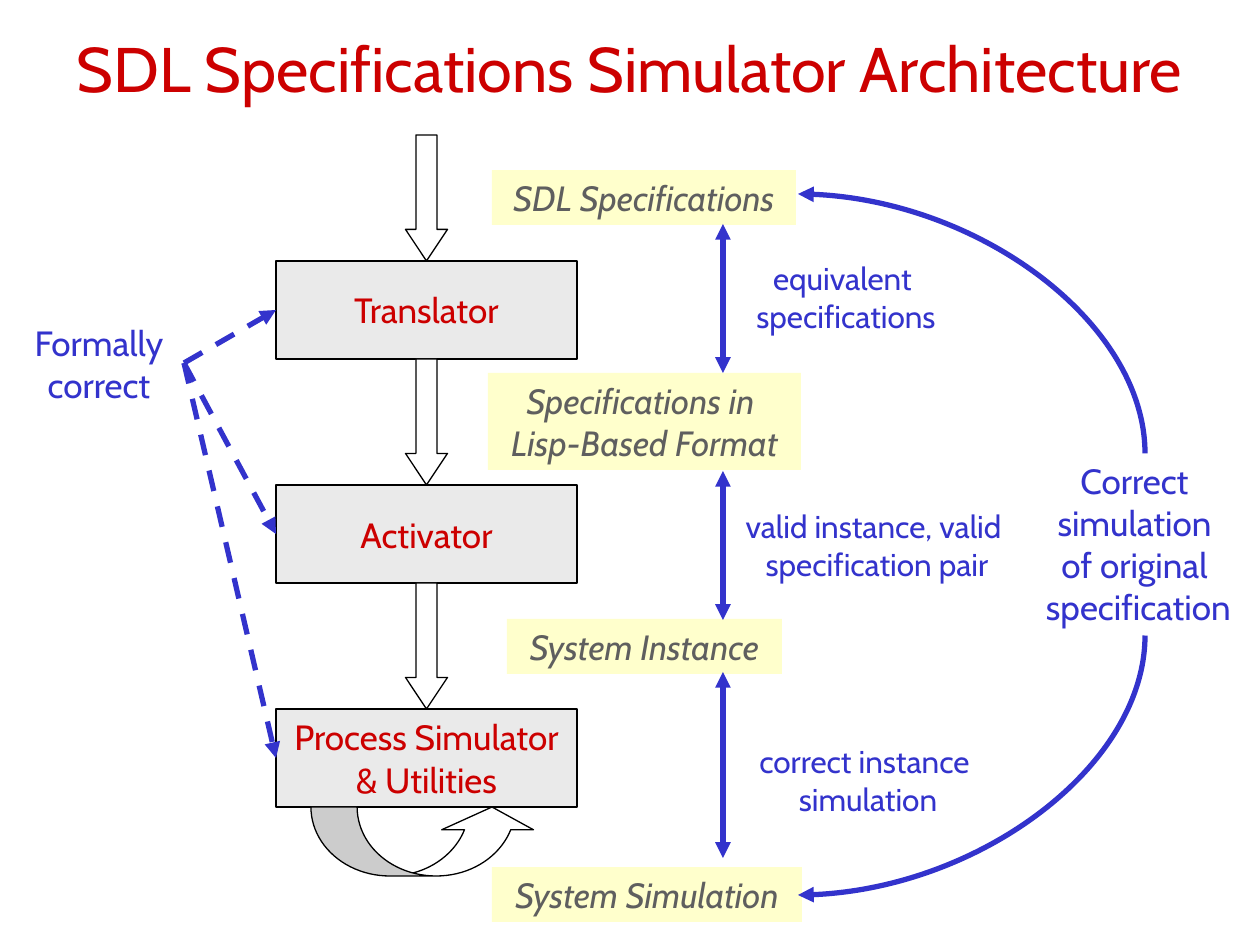
import pptx
import pptx.util
import pptx.dml.color
import pptx.enum.dml
import pptx.enum.shapes
import pptx.enum.text
import pptx.oxml.ns
from lxml import etree

SHAPES = pptx.enum.shapes.MSO_SHAPE
CONNECTORS = pptx.enum.shapes.MSO_CONNECTOR
ANCHORS = pptx.enum.text.MSO_ANCHOR
RED, BLUE, GREY = "CC0000", "3333CC", "5F5F5F"
TOP, LEFT, BOTTOM, RIGHT = range(4)


def px(length):
    """Turn pixels into EMU at 126 pixels to the inch."""
    return pptx.util.Emu(round(length * 914400 / 126))


def paint(colour):
    """Turn a hex string into a colour."""
    return pptx.dml.color.RGBColor.from_string(colour)


def write(shape, text, size=20, colour=BLUE, italic=False, anchor=ANCHORS.TOP, wrap=False):
    """Write centred text into a shape, one paragraph per line."""
    frame = shape.text_frame
    frame.word_wrap = wrap
    frame.vertical_anchor = anchor
    frame.text = text
    for paragraph in frame.paragraphs:
        paragraph.alignment = pptx.enum.text.PP_ALIGN.CENTER
        font = paragraph.runs[0].font
        font.name = "Cabin"
        font.size = pptx.util.Pt(size)
        font.italic = italic
        font.color.rgb = paint(colour)


def add_text(slide, box, text, **style):
    """Add a text box holding formatted text."""
    write(slide.shapes.add_textbox(*map(px, box)), text, **style)


def add_shape(slide, preset, box, fill=None, line=None):
    """Add a flat preset shape with an optional fill and outline."""
    shape = slide.shapes.add_shape(preset, *map(px, box))
    shape.shadow.inherit = False
    if fill:
        shape.fill.solid()
        shape.fill.fore_color.rgb = paint(fill)
    else:
        shape.fill.background()
    if line:
        shape.line.color.rgb = paint(line)
        shape.line.width = pptx.util.Pt(0.75)
    else:
        shape.line.fill.background()
    return shape


def add_arrow(slide, start, end, kind=CONNECTORS.STRAIGHT, ends=("tailEnd",), dashed=False):
    """Add a blue connector with triangular arrowheads."""
    arrow = slide.shapes.add_connector(kind, *map(px, (*start, *end)))
    arrow.line.color.rgb = paint(BLUE)
    arrow.line.width = pptx.util.Pt(3)
    if dashed:
        arrow.line.dash_style = pptx.enum.dml.MSO_LINE.DASH
    outline = arrow.line._get_or_add_ln()
    for tag in ends:
        etree.SubElement(outline, pptx.oxml.ns.qn(f"a:{tag}"), type="triangle")
    etree.SubElement(arrow._element.spPr, pptx.oxml.ns.qn("a:effectLst"))
    return arrow


def add_arc(slide, start, end):
    """Add a quarter curve that leaves vertically and arrives horizontally."""
    centre_x, centre_y = (start[0] + end[0]) / 2, (start[1] + end[1]) / 2
    half_width, half_height = abs(end[1] - start[1]) / 2, abs(end[0] - start[0]) / 2
    rising = end[1] < start[1]
    drop = -half_height if rising else half_height
    arc = add_arrow(slide, (centre_x - half_width, centre_y - drop),
                    (centre_x + half_width, centre_y + drop), kind=CONNECTORS.CURVE)
    properties = arc._element.spPr
    properties.find(pptx.oxml.ns.qn("a:prstGeom")).set("prst", "curvedConnector2")
    degrees = 270 if rising else 90
    properties.find(pptx.oxml.ns.qn("a:xfrm")).set("rot", str(degrees * 60000))


def draw_pipeline(slide, box):
    """Draw the stacked processing stages, each fed by a block arrow."""
    left, top, width, height = box
    feed, stage_height = 126, 98
    pitch = (height - feed - stage_height) / 2
    stages = []
    for row, name in enumerate(("Translator", "Activator", "Process Simulator\n& Utilities")):
        stage_top = top + feed + row * pitch
        stage = add_shape(slide, SHAPES.RECTANGLE, (left, stage_top, width, stage_height),
                          "EAEAEA", "000000")
        write(stage, name, colour=RED, anchor=ANCHORS.MIDDLE)
        inflow = add_shape(slide, SHAPES.DOWN_ARROW,
                           (left + width / 2 - 21, stage_top - feed, 42, feed),
                           "FFFFFF", "000000")
        inflow.adjustments[1] = 0.75
        stages.append(stage)
    loop = add_shape(slide, SHAPES.CURVED_UP_ARROW, (left + 35, top + height, 227, 69),
                     "FFFFFF", "000000")
    for index, value in enumerate((0.67, 1.33, 0.33)):
        loop.adjustments[index] = value
    return stages


def draw_claim(slide, box, stages):
    """Draw the correctness claim and point it at every stage."""
    claim = add_shape(slide, SHAPES.ROUNDED_RECTANGLE, box)
    write(claim, "Formally \ncorrect", wrap=True)
    for stage in stages:
        pointer = add_arrow(slide, (0, 0), (1, 1), dashed=True)
        pointer.begin_connect(claim, RIGHT)
        pointer.end_connect(stage, LEFT)


def draw_artifacts(slide, box):
    """Draw the artifacts and the relations between neighbours."""
    left, top, _, _ = box
    artifacts = (
        ("SDL Specifications", 4, 0, 304, 55),
        ("Specifications in \nLisp-Based Format", 0, 203, 313, 97),
        ("System Instance", 19, 449, 275, 55),
        ("System Simulation", 4, 697, 310, 55),
    )
    for name, x, y, width, height in artifacts:
        artifact = add_shape(slide, SHAPES.RECTANGLE, (left + x, top + y, width, height), "FFFFCC")
        write(artifact, name, colour=GREY, italic=True)
    relations = (
        ("equivalent \nspecifications", 245, 83, 226, 54, 203),
        ("valid instance, valid \nspecification pair", 229, 331, 320, 301, 450),
        ("correct instance \nsimulation", 245, 566, 270, 502, 688),
    )
    for text, x, y, width, start, end in relations:
        add_arrow(slide, (left + 235, top + start), (left + 235, top + end),
                  ends=("headEnd", "tailEnd"))
        add_text(slide, (left + x, top + y, width, 88), text, size=18)


def draw_outcome(slide, box):
    """Draw the overall result with arcs to the first and last artifacts."""
    left, top, width, height = box
    middle, bottom = top + height / 2, top + height
    add_text(slide, (left + 225, middle - 91, width - 225, 182),
             "Correct \nsimulation \nof original \nspecification")
    add_arc(slide, (left + 347, middle - 91), (left, top))
    add_arc(slide, (left + 347, middle + 91), (left, bottom))


def main():
    """Build and save the presentation."""
    deck = pptx.Presentation()
    deck.slide_width, deck.slide_height = px(1260), px(945)
    slide = deck.slides.add_slide(deck.slide_layouts[6])
    add_text(slide, (15, -15, 1229, 164), "SDL Specifications Simulator Architecture",
             size=36, colour=RED, anchor=ANCHORS.MIDDLE, wrap=True)
    stages = draw_pipeline(slide, (276, 135, 301, 672))
    draw_claim(slide, (14, 310, 170, 106), stages)
    draw_artifacts(slide, (488, 170, 314, 752))
    draw_outcome(slide, (798, 194, 456, 701))
    deck.save("out.pptx")


if __name__ == "__main__":
    main()
